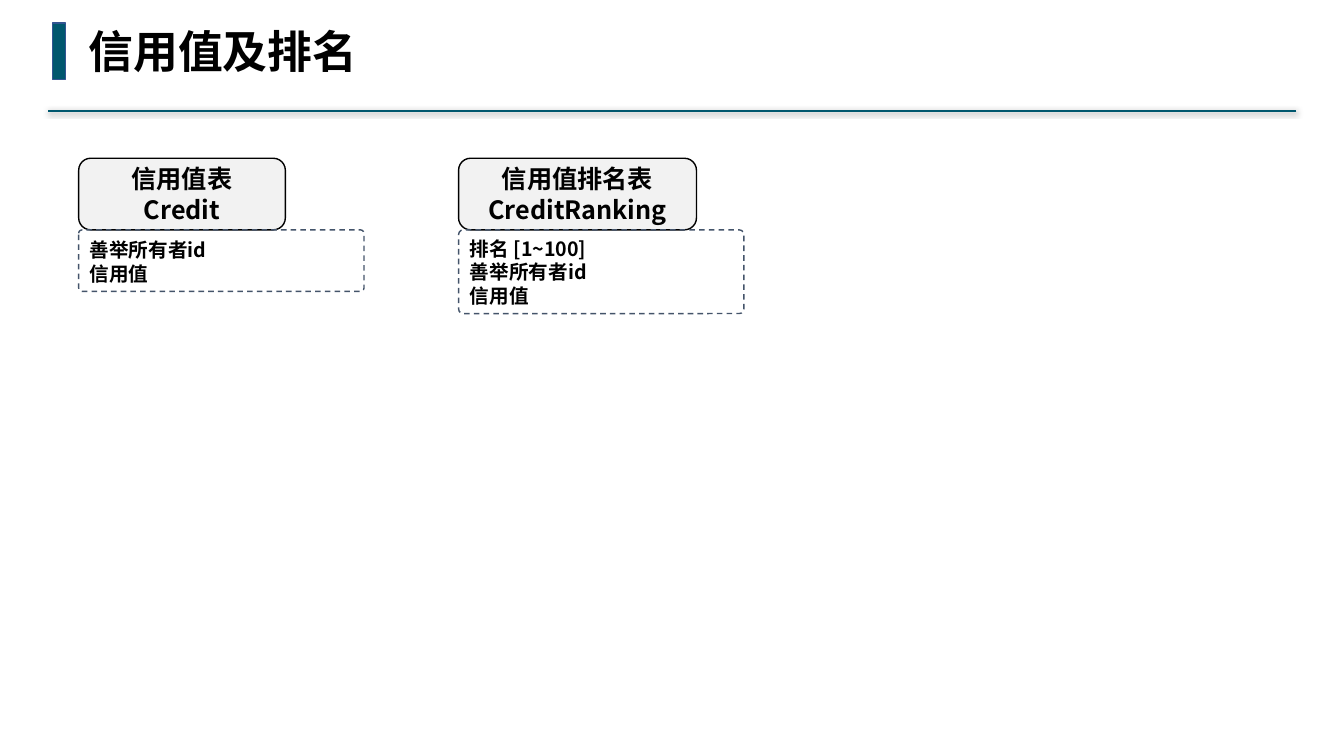
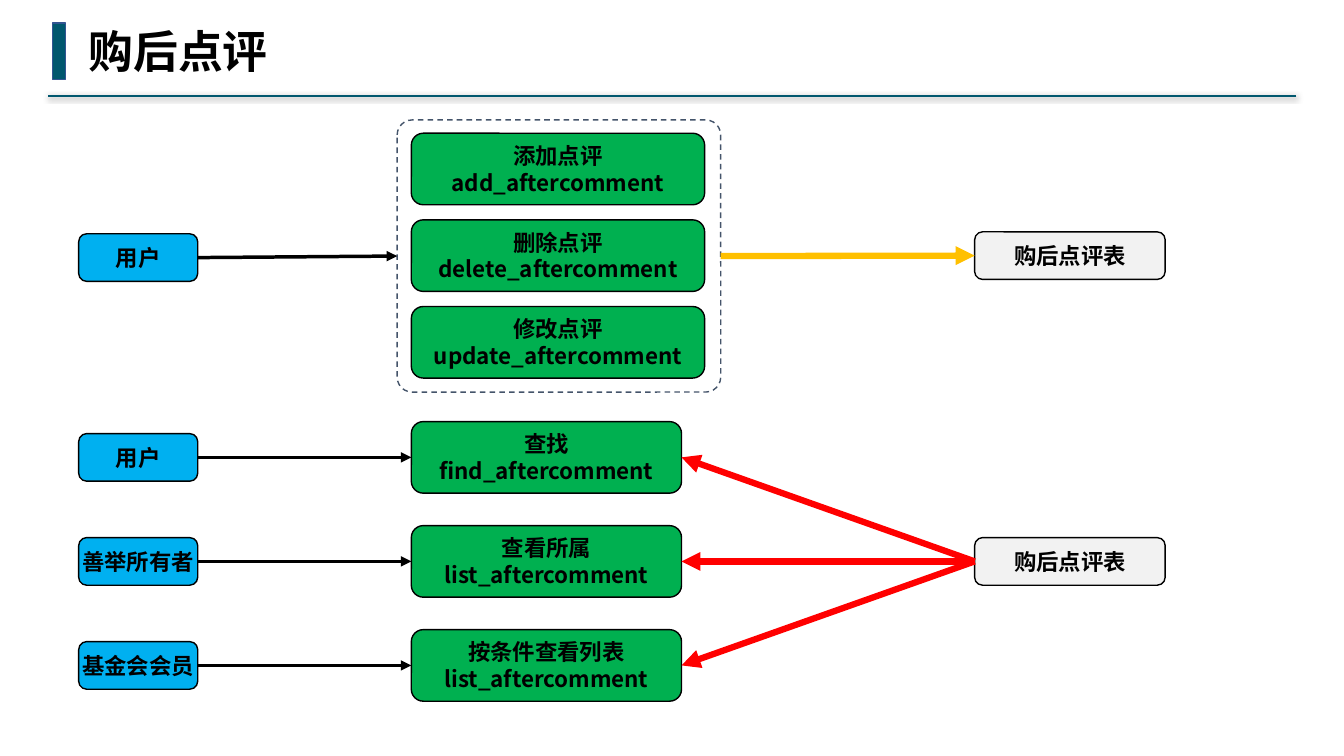
from dataclasses import dataclass

from lxml import etree
from pptx import Presentation
from pptx.dml.color import RGBColor
from pptx.enum.dml import MSO_LINE
from pptx.enum.shapes import MSO_CONNECTOR, MSO_SHAPE
from pptx.enum.text import MSO_ANCHOR, MSO_AUTO_SIZE, PP_ALIGN
from pptx.oxml.ns import qn
from pptx.util import Pt

STRAIGHT = MSO_CONNECTOR.STRAIGHT
RECTANGLE, ROUNDED = MSO_SHAPE.RECTANGLE, MSO_SHAPE.ROUNDED_RECTANGLE
DASH = MSO_LINE.DASH
MIDDLE, BOTTOM = MSO_ANCHOR.MIDDLE, MSO_ANCHOR.BOTTOM
LEFT, CENTER = PP_ALIGN.LEFT, PP_ALIGN.CENTER
GROW = MSO_AUTO_SIZE.SHAPE_TO_FIT_TEXT
LEFT_SITE, RIGHT_SITE = 1, 3


@dataclass(frozen=True)
class Theme:
    """Colours, fonts and type sizes of the presentation."""
    black: RGBColor = RGBColor.from_string("000000")
    teal: RGBColor = RGBColor.from_string("00576E")
    bar_edge: RGBColor = RGBColor.from_string("325491")
    slate: RGBColor = RGBColor.from_string("44546A")
    table: RGBColor = RGBColor.from_string("F2F2F2")
    action: RGBColor = RGBColor.from_string("00B050")
    actor: RGBColor = RGBColor.from_string("00B0F0")
    edit_arrow: RGBColor = RGBColor.from_string("FFC000")
    query_arrow: RGBColor = RGBColor.from_string("FF0000")
    title_font: str = "Noto Sans Mono"
    body_font: str = "Noto Sans CJK SC"
    title_size: float = 32
    heading_size: float = 18
    node_size: float = 16
    field_size: float = 14


THEME = Theme()
MARGIN = 56.2
ACTION_LEFT, ACTION_HEIGHT = 293.8, 51.1
ACTOR_WIDTH, TABLE_WIDTH, NODE_HEIGHT = 85, 136.1, 34
TABLE_LEFT = 696.2
NODE_FRAME = {"vertical_anchor": MIDDLE, "word_wrap": False,
              "margin_left": Pt(2.88), "margin_right": Pt(2.88),
              "margin_top": Pt(2.88), "margin_bottom": Pt(2.88)}
FIELD_FRAME = {"vertical_anchor": BOTTOM, "word_wrap": True}
TITLE_FRAME = {"word_wrap": False, "auto_size": GROW}


def apply(target, values):
    """Set each attribute named in a dict of format values."""
    for name, value in values.items():
        setattr(target, name, value)


def set_text(shape, lines, size, frame, alignment=LEFT, font=THEME.body_font):
    """Fill a shape with bold black lines, one paragraph each."""
    text_frame = shape.text_frame
    apply(text_frame, frame)
    text_frame.text = "\n".join(lines)
    for paragraph in text_frame.paragraphs:
        paragraph.alignment = alignment
        for run in paragraph.runs:
            apply(run.font, {"name": font, "size": Pt(size), "bold": True})
            run.font.color.rgb = THEME.black
            east_asian = etree.SubElement(run.font._element, qn("a:ea"))
            east_asian.set("typeface", THEME.body_font)


def add_box(shapes, kind, box, line, fill=None, dashed=False):
    """Add a preset shape with a thin outline and an optional fill."""
    shape = shapes.add_shape(kind, *map(Pt, box))
    shape.shadow.inherit = False
    if fill is None:
        shape.fill.background()
    else:
        shape.fill.solid()
        shape.fill.fore_color.rgb = fill
    shape.line.color.rgb = line
    shape.line.width = Pt(1)
    if dashed:
        shape.line.dash_style = DASH
    return shape


def add_dashed_box(shapes, box):
    """Add an unfilled dashed frame with small corners."""
    shape = add_box(shapes, ROUNDED, box, THEME.slate, dashed=True)
    shape.adjustments[0] = 0.055
    return shape


def add_node(shapes, left, center, width, height, fill, lines, size=THEME.node_size):
    """Add a filled node centred on a given height."""
    box = (left, center - height / 2, width, height)
    shape = add_box(shapes, ROUNDED, box, THEME.black, fill)
    set_text(shape, lines, size, NODE_FRAME, CENTER)
    return shape


def add_actor(shapes, center, name):
    """Add the blue node of a person."""
    return add_node(shapes, MARGIN, center, ACTOR_WIDTH, NODE_HEIGHT, THEME.actor, [name])


def add_action(shapes, center, width, lines):
    """Add the green node of a function."""
    return add_node(shapes, ACTION_LEFT, center, width, ACTION_HEIGHT, THEME.action, lines)


def add_data_table(shapes, center, name):
    """Add the grey node of a data table."""
    return add_node(shapes, TABLE_LEFT, center, TABLE_WIDTH, NODE_HEIGHT, THEME.table, [name])


def add_line(slide, start, end, color, width):
    """Add a straight line and return it with its empty effect list."""
    connector = slide.shapes.add_connector(STRAIGHT, *map(Pt, (*start, *end)))
    connector.line.color.rgb = color
    connector.line.width = Pt(width)
    effects = etree.SubElement(connector._element.spPr, qn("a:effectLst"))
    return connector, effects


def add_arrow(slide, source, target, color=THEME.black, width=2.5, leftward=False):
    """Join the facing sides of two shapes with an arrow."""
    arrow, _ = add_line(slide, (0, 0), (0, 0), color, width)
    sites = (LEFT_SITE, RIGHT_SITE) if leftward else (RIGHT_SITE, LEFT_SITE)
    arrow.begin_connect(source, sites[0])
    arrow.end_connect(target, sites[1])
    etree.SubElement(arrow.line._get_or_add_ln(), qn("a:tailEnd"), type="triangle")


def add_header(slide, title, title_width, rule_top):
    """Add the shadowed rule, the title bar and the title."""
    _, effects = add_line(slide, (926, rule_top), (34, rule_top), THEME.teal, 1.5)
    shadow = etree.SubElement(effects, qn("a:outerShdw"), blurRad=str(Pt(4)),
                              dist=str(Pt(1)), dir="5400000", rotWithShape="0")
    shade = etree.SubElement(shadow, qn("a:srgbClr"), val=str(THEME.black))
    etree.SubElement(shade, qn("a:alpha"), val="40000")
    add_box(slide.shapes, RECTANGLE, (37.4, 16.5, 9.4, 40.3), THEME.bar_edge, THEME.teal)
    text_box = slide.shapes.add_textbox(*map(Pt, (MARGIN, 13.7, title_width, 46.1)))
    set_text(text_box, [title], THEME.title_size, TITLE_FRAME, font=THEME.title_font)


def add_entity(slide, left, heading, heading_width, fields, fields_height):
    """Add a table heading above the dashed list of its fields."""
    add_node(slide.shapes, left, 138.6, heading_width, ACTION_HEIGHT,
             THEME.table, heading, THEME.heading_size)
    field_box = add_dashed_box(slide.shapes, (left, 164.2, 203.8, fields_height))
    set_text(field_box, fields, THEME.field_size, FIELD_FRAME)


def build_credit(slide):
    """Show the credit table and the ranking table."""
    add_header(slide, "信用值及排名", 208, 79.2)
    add_entity(slide, MARGIN, ["信用值表", "Credit"], 147.6,
               ["善举所有者id", "信用值"], 43.9)
    add_entity(slide, 327.6, ["信用值排名表", "CreditRanking"], 169.9,
               ["排名 [1~100]", "善举所有者id", "信用值"], 59.8)


def build_edit_flow(slide):
    """Show how a user changes the comment table."""
    center, pitch = 182.6, 61.9
    edits = [["添加点评", "add_aftercomment"],
             ["删除点评", "delete_aftercomment"],
             ["修改点评", "update_aftercomment"]]
    group = slide.shapes.add_group_shape()
    frame = add_dashed_box(group.shapes, (283.7, 85.7, 231.1, 194.4))
    for row, lines in enumerate(edits):
        add_action(group.shapes, center + (row - 1) * pitch, 209.5, lines)
    user = add_actor(slide.shapes, 184, "用户")
    comments = add_data_table(slide.shapes, center, "购后点评表")
    add_arrow(slide, user, frame)
    add_arrow(slide, frame, comments, THEME.edit_arrow, 4.5)


def build_query_flow(slide):
    """Show who consults the comment table and through which function."""
    center, pitch = 401, 74.3
    queries = [("用户", ["查找", "find_aftercomment"]),
               ("善举所有者", ["查看所属", "list_aftercomment"]),
               ("基金会会员", ["按条件查看列表", "list_aftercomment"])]
    comments = add_data_table(slide.shapes, center, "购后点评表")
    for row, (name, lines) in enumerate(queries):
        row_center = center + (row - 1) * pitch
        actor = add_actor(slide.shapes, row_center, name)
        action = add_action(slide.shapes, row_center, 193, lines)
        add_arrow(slide, actor, action)
        add_arrow(slide, comments, action, THEME.query_arrow, 4.5, leftward=True)


def build_comments(slide):
    """Show the flows of after-purchase comments."""
    add_header(slide, "购后点评", 144, 68.4)
    build_edit_flow(slide)
    build_query_flow(slide)


def main():
    """Build and save the presentation."""
    presentation = Presentation()
    apply(presentation, {"slide_width": Pt(960), "slide_height": Pt(540)})
    blank = presentation.slide_layouts[6]
    for build in (build_credit, build_comments):
        build(presentation.slides.add_slide(blank))
    presentation.save("out.pptx")


main()
